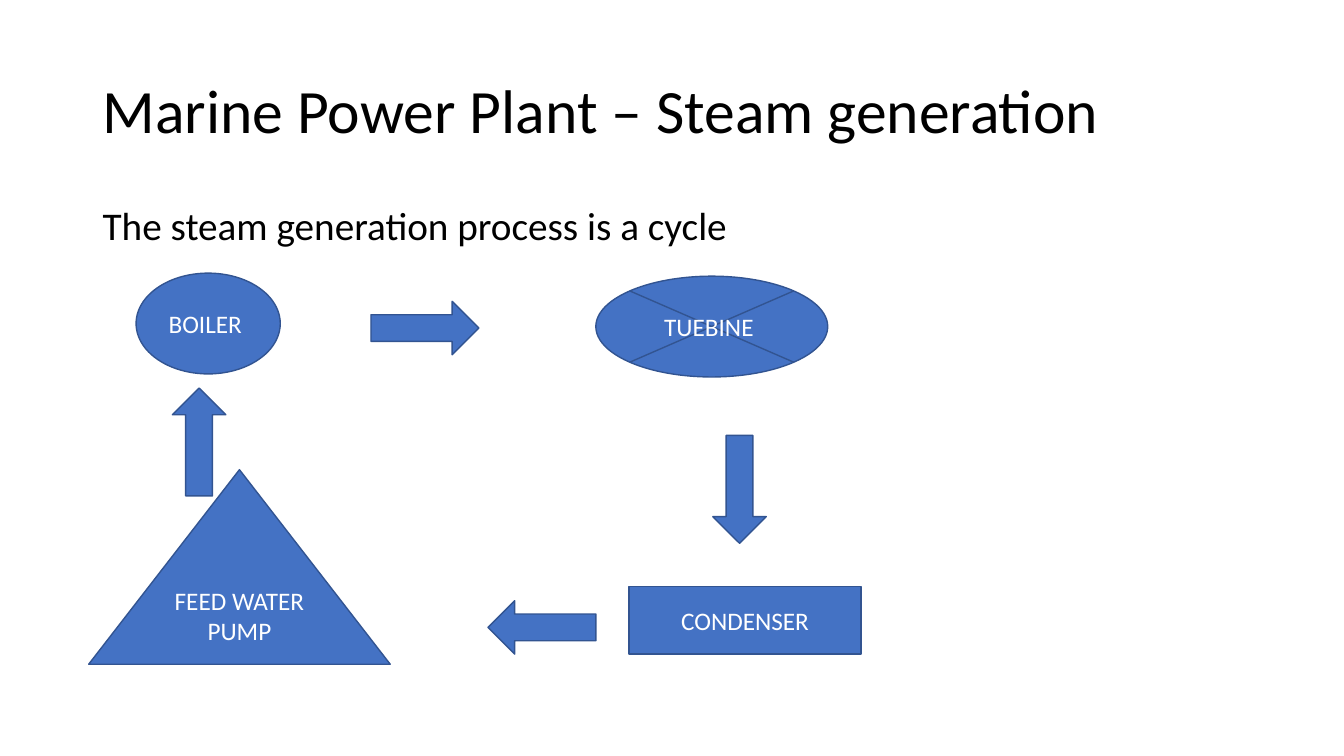
"""Build a slide on the steam generation cycle of a marine power plant."""
import dataclasses
import typing

import pptx
import pptx.dml.color
import pptx.enum.shapes
import pptx.enum.text
import pptx.slide
import pptx.util

Inches = pptx.util.Inches
Pt = pptx.util.Pt
RGBColor = pptx.dml.color.RGBColor
Kind = pptx.enum.shapes.MSO_SHAPE
Align = pptx.enum.text.PP_ALIGN
Anchor = pptx.enum.text.MSO_ANCHOR

BLACK = RGBColor(0x00, 0x00, 0x00)
WHITE = RGBColor(0xFF, 0xFF, 0xFF)
BLUE = RGBColor(0x44, 0x72, 0xC4)
NAVY = RGBColor(0x32, 0x54, 0x91)

LONG, SHORT = 1.07, 0.53


@dataclasses.dataclass(frozen=True)
class Label:
    """Text box with a heading or a sentence."""
    text: str
    box: tuple[float, float, float, float]
    size: int
    anchor: Anchor


@dataclasses.dataclass(frozen=True)
class Part:
    """Stage of the cycle, or an arrow when it has no text."""
    kind: Kind
    box: tuple[float, float, float, float]
    text: str = ""


LABELS = [
    Label("Marine Power Plant – Steam generation",
          (0.92, 0.4, 11.5, 1.45), 44, Anchor.MIDDLE),
    Label("The steam generation process is a cycle",
          (0.92, 2, 11.5, 5.31), 28, Anchor.TOP),
]

PARTS = [
    Part(Kind.OVAL, (1.35, 2.71, 1.43, 1), "BOILER "),
    Part(Kind.RIGHT_ARROW, (3.68, 2.99, LONG, SHORT)),
    Part(Kind.FLOWCHART_SUMMING_JUNCTION, (5.91, 2.74, 2.3, 1), "TUEBINE "),
    Part(Kind.FLOWCHART_PROCESS, (6.24, 5.82, 2.3, 0.67), "CONDENSER"),
    Part(Kind.ISOSCELES_TRIANGLE, (0.88, 4.66, 2.99, 1.93), "FEED WATER PUMP"),
    Part(Kind.DOWN_ARROW, (7.07, 4.32, SHORT, LONG)),
    Part(Kind.LEFT_ARROW, (4.84, 5.96, LONG, SHORT)),
    Part(Kind.UP_ARROW, (1.71, 3.85, SHORT, LONG)),
]


def apply(target: object, form: dict[str, typing.Any]) -> None:
    """Set each format value on the target."""
    for name, value in form.items():
        setattr(target, name, value)


def write(frame: typing.Any, text: str, size: int, color: RGBColor,
          anchor: Anchor, form: dict[str, typing.Any]) -> None:
    """Fill a text frame with one formatted paragraph."""
    apply(frame, {"word_wrap": True, "vertical_anchor": anchor})
    para = frame.paragraphs[0]
    para.text = text
    apply(para, form)
    font = para.runs[0].font
    apply(font, {"name": "Calibri", "size": Pt(size)})
    font.color.rgb = color


def draw_label(slide: pptx.slide.Slide, label: Label) -> None:
    """Draw one text box."""
    box = slide.shapes.add_textbox(*map(Inches, label.box))
    write(box.text_frame, label.text, label.size, BLACK, label.anchor,
          {"line_spacing": 0.9})


def draw_part(slide: pptx.slide.Slide, part: Part) -> None:
    """Draw one stage or arrow."""
    shape = slide.shapes.add_shape(part.kind, *map(Inches, part.box))
    shape.shadow.inherit = False
    shape.fill.solid()
    shape.fill.fore_color.rgb = BLUE
    shape.line.color.rgb = NAVY
    shape.line.width = Pt(1)
    if part.text:
        write(shape.text_frame, part.text, 18, WHITE, Anchor.MIDDLE,
              {"alignment": Align.CENTER})


def main() -> None:
    """Build and save the slide."""
    deck = pptx.Presentation()
    apply(deck, {"slide_width": Inches(13.33), "slide_height": Inches(7.5)})
    slide = deck.slides.add_slide(deck.slide_layouts[6])
    for label in LABELS:
        draw_label(slide, label)
    for part in PARTS:
        draw_part(slide, part)
    deck.save("out.pptx")


if __name__ == "__main__":
    main()
